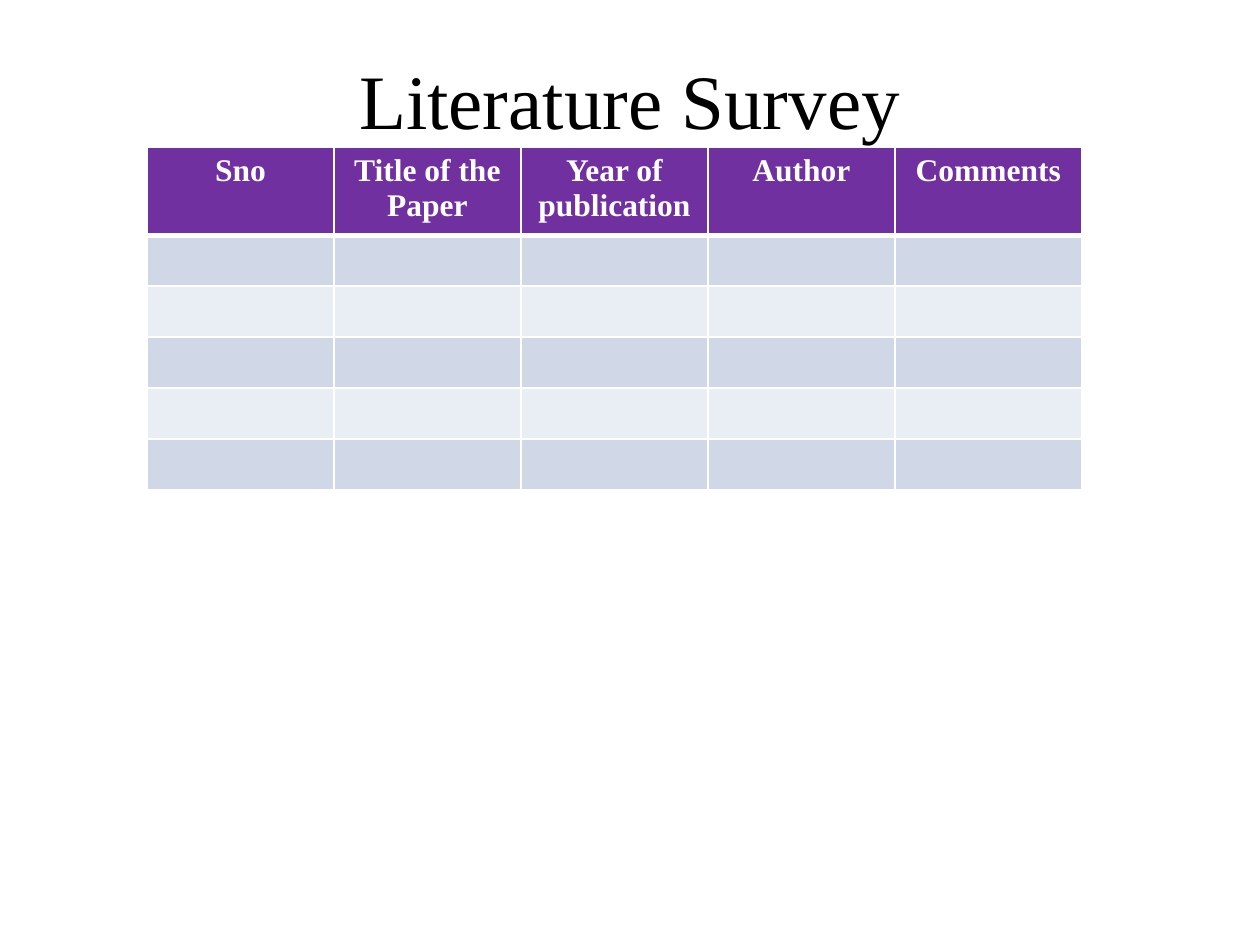
"""Builds the literature survey slide with its empty table."""
from lxml.etree import SubElement
from pptx import Presentation
from pptx.dml.color import RGBColor
from pptx.enum.text import MSO_ANCHOR, PP_ALIGN
from pptx.oxml.ns import qn
from pptx.util import Emu, Pt

SCALE = 914400 / 126
FONT = "Times New Roman"
COLORS = {"ink": "000000", "white": "FFFFFF", "head": "7030A0",
          "dark": "D0D8E8", "light": "E9EDF4"}
HEADS = ["Sno", "Title of the Paper", "Year of publication", "Author", "Comments"]
ROWS = 6


def px(count):
    return Emu(round(count * SCALE))


def color(name):
    return RGBColor.from_string(COLORS[name])


def write(frame, text, size, tint, bold=False):
    para = frame.paragraphs[0]
    para.alignment = PP_ALIGN.CENTER
    run = para.add_run()
    run.text = text
    run.font.name = FONT
    run.font.size = Pt(size)
    run.font.bold = bold
    run.font.color.rgb = color(tint)


def add_title(slide, text):
    box = slide.shapes.add_textbox(px(63), px(38), px(1134), px(157))
    frame = box.text_frame
    frame.word_wrap = True
    frame.vertical_anchor = MSO_ANCHOR.TOP
    frame.margin_top = px(15)
    write(frame, text, 44, "ink")


def add_edge(cell, side, width):
    line = SubElement(cell._tc.get_or_add_tcPr(), qn(f"a:ln{side}"), w=str(Pt(width)))
    fill = SubElement(line, qn("a:solidFill"))
    SubElement(fill, qn("a:srgbClr"), val=COLORS["white"])


def style(cell, row):
    thick = {0: "B", 1: "T"}.get(row)
    for side in "LRTB":
        add_edge(cell, side, 3 if side == thick else 1)
    cell.fill.solid()
    band = "dark" if row % 2 else "light"
    cell.fill.fore_color.rgb = color(band if row else "head")


def add_grid(slide):
    high, wide = [87] + [51] * (ROWS - 1), 187
    frame = slide.shapes.add_table(ROWS, len(HEADS), px(147), px(147),
                                   px(wide * len(HEADS)), px(sum(high)))
    table = frame.table
    for col in table.columns:
        col.width = px(wide)
    for row, size in enumerate(high):
        table.rows[row].height = px(size)
        for col in range(len(HEADS)):
            style(table.cell(row, col), row)
    for col, text in enumerate(HEADS):
        write(table.cell(0, col).text_frame, text, 18, "white", True)


def main():
    deck = Presentation()
    deck.slide_width, deck.slide_height = px(1260), px(945)
    slide = deck.slides.add_slide(deck.slide_layouts[6])
    add_title(slide, "Literature Survey")
    add_grid(slide)
    deck.save("out.pptx")


if __name__ == "__main__":
    main()
